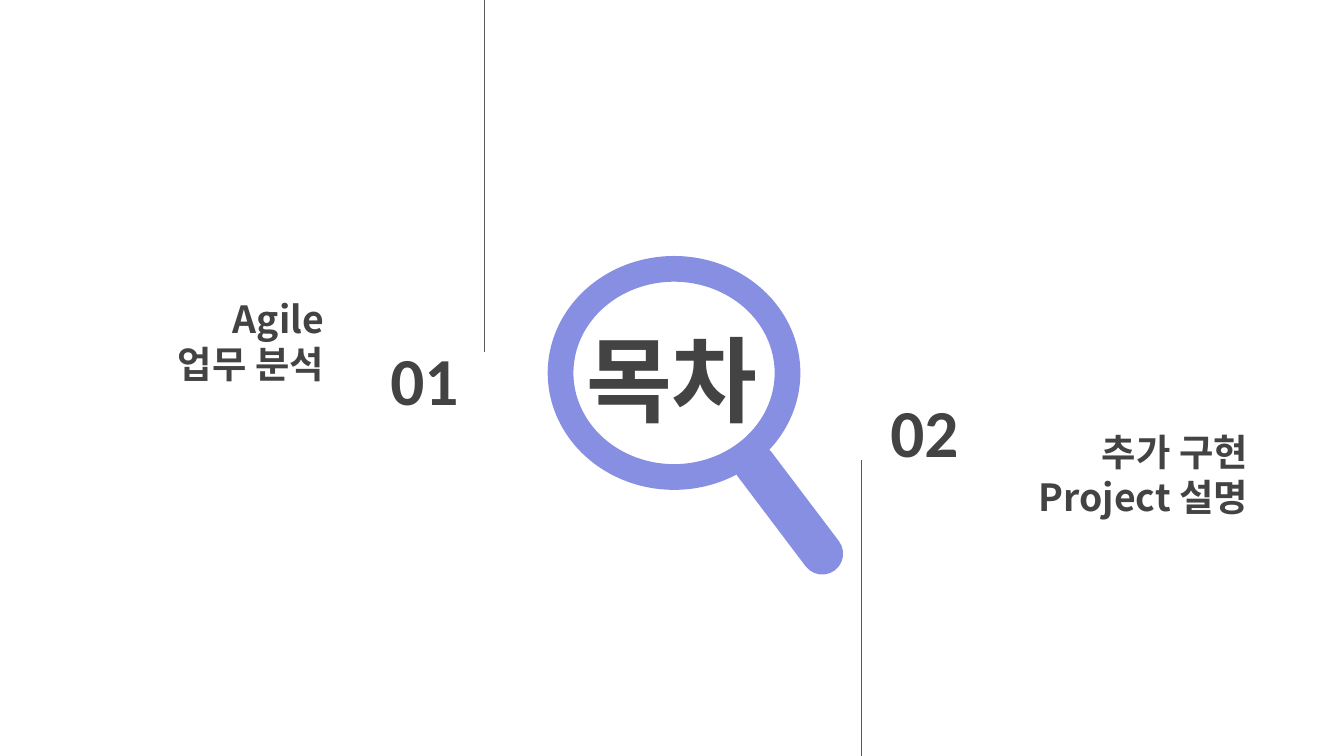
import pptx
import pptx.dml.color
import pptx.enum.shapes
import pptx.enum.text
import pptx.oxml.ns
import pptx.util
from lxml import etree

EMU_PER_PX = 4572
COLORS = {"lens": "878FE2", "text": "434343", "rule": "595959"}
KOREAN, LATIN = "Noto Sans CJK KR", "Calibri"
ALIGN = pptx.enum.text.PP_ALIGN
ANCHOR = pptx.enum.text.MSO_ANCHOR
SHAPE = pptx.enum.shapes.MSO_SHAPE


def px(*lengths):
    return [pptx.util.Emu(length * EMU_PER_PX) for length in lengths]


def color(name):
    return pptx.dml.color.RGBColor.from_string(COLORS[name])


def write(frame, text, size, font=KOREAN, align=ALIGN.RIGHT, anchor=ANCHOR.MIDDLE):
    frame.word_wrap = True
    frame.vertical_anchor = anchor
    frame.margin_left, frame.margin_top, frame.margin_right, frame.margin_bottom = px(20, 20, 20, 20)
    paragraph = frame.paragraphs[0]
    paragraph.text = text
    paragraph.alignment = align
    for run in paragraph.runs:
        run.font.name = font
        run.font.size = pptx.util.Pt(size)
        run.font.bold = True
        run.font.color.rgb = color("text")
        east_asian = etree.SubElement(run.font._element, pptx.oxml.ns.qn("a:ea"))
        east_asian.set("typeface", font)


class AgendaSlide:
    def __init__(self, deck):
        self.slide = deck.slides.add_slide(deck.slide_layouts[6])

    def group(self):
        return self.slide.shapes.add_group_shape()

    def solid(self, parent, kind, box, adjustment, rotation=0):
        solid = parent.shapes.add_shape(kind, *px(*box))
        solid.adjustments[0] = adjustment
        solid.rotation = rotation
        solid.shadow.inherit = False
        solid.fill.solid()
        solid.fill.fore_color.rgb = color("lens")
        solid.line.fill.background()

    def label(self, box, text, size, **style):
        write(self.slide.shapes.add_textbox(*px(*box)).text_frame, text, size, **style)

    def rule(self, x, top, bottom):
        rule = self.slide.shapes.add_connector(
            pptx.enum.shapes.MSO_CONNECTOR.STRAIGHT, *px(x, top, x, bottom))
        rule.line.color.rgb = color("rule")
        rule.line.width = pptx.util.Pt(0.75)
        etree.SubElement(rule._element.spPr, pptx.oxml.ns.qn("a:effectLst"))


def main():
    deck = pptx.Presentation()
    width, height = 2000, 1125
    deck.slide_width, deck.slide_height = px(width, height)
    agenda = AgendaSlide(deck)

    magnifier = agenda.group()
    agenda.solid(magnifier, SHAPE.DONUT, (815, 381, 376, 348), 0.11)
    agenda.solid(magnifier, SHAPE.ROUNDED_RECTANGLE, (1142, 642, 62, 230), 0.5, rotation=322.9)
    agenda.label((741, 460, 518, 206), "목차", 50, align=ALIGN.CENTER)

    sections = [
        ("01", (460, 500), "Agile\v업무 분석", (70, 468), (721, 0, 524)),
        ("02", (1204, 578), "추가 구현 Project 설명", (1445, 666), (1282, 685, height)),
    ]
    for number, number_at, topic, topic_at, rule in sections:
        agenda.rule(*rule)
        agenda.label((*number_at, 242, 126), number, 36, font=LATIN)
        agenda.label((*topic_at, 432, 126), topic, 20, anchor=ANCHOR.BOTTOM)

    deck.save("out.pptx")


if __name__ == "__main__":
    main()
